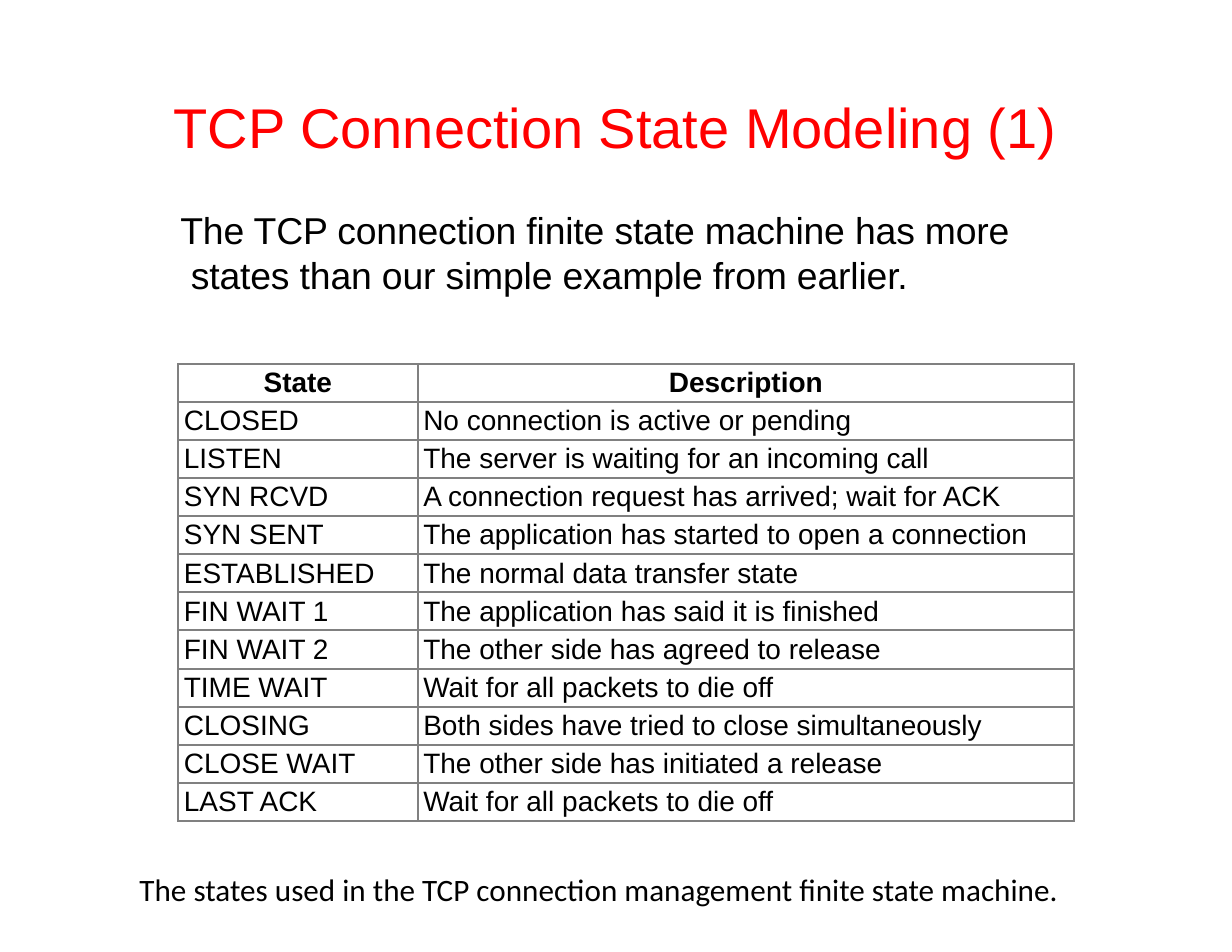
from lxml import etree
from pptx import Presentation
from pptx.dml.color import RGBColor
from pptx.enum import text
from pptx.oxml import ns
from pptx.util import Cm, Pt

RED = RGBColor(0xFF, 0x00, 0x00)
BLACK = RGBColor(0x00, 0x00, 0x00)
BORDER = RGBColor(0x80, 0x80, 0x80)

STATES = [
    ("State", "Description"),
    ("CLOSED", "No connection is active or pending"),
    ("LISTEN", "The server is waiting for an incoming call"),
    ("SYN RCVD", "A connection request has arrived; wait for ACK"),
    ("SYN SENT", "The application has started to open a connection"),
    ("ESTABLISHED", "The normal data transfer state"),
    ("FIN WAIT 1", "The application has said it is finished"),
    ("FIN WAIT 2", "The other side has agreed to release"),
    ("TIME WAIT", "Wait for all packets to die off"),
    ("CLOSING", "Both sides have tried to close simultaneously"),
    ("CLOSE WAIT", "The other side has initiated a release"),
    ("LAST ACK", "Wait for all packets to die off"),
]


def add_text(page, words, left, top, width, height, size, color, name="Arial"):
    box = page.shapes.add_textbox(Cm(left), Cm(top), Cm(width), Cm(height))
    frame = box.text_frame
    frame.word_wrap = True
    frame.text = words
    font = frame.paragraphs[0].runs[0].font
    font.name, font.size, font.color.rgb = name, Pt(size), color
    return frame


def add_borders(cell):
    """Draw all four edges; the lines must come before the fill in the XML."""
    properties = cell._tc.get_or_add_tcPr()
    for index, side in enumerate(("a:lnL", "a:lnR", "a:lnT", "a:lnB")):
        line = etree.Element(ns.qn(side), w=str(Pt(1.5)))
        fill = etree.SubElement(line, ns.qn("a:solidFill"))
        etree.SubElement(fill, ns.qn("a:srgbClr"), val=str(BORDER))
        properties.insert(index, line)


deck = Presentation()
deck.slide_width, deck.slide_height = Cm(27.94), Cm(21.59)
page = deck.slides.add_slide(deck.slide_layouts[6])

title = add_text(page, "TCP Connection State Modeling (1)",
                 3.94, 2.06, 20.12, 1.6, 36, RED)
intro = add_text(page, "The TCP connection finite state machine has more "
                 "states than our simple example from earlier.",
                 4.06, 4.65, 19.08, 2.11, 24, BLACK)
for frame in (title, intro):
    frame.margin_left = frame.margin_right = frame.margin_bottom = 0
    frame.margin_top = Cm(0.05)

# The second line of the introduction hangs slightly to the right.
intro_para = intro.paragraphs[0]
intro_format = intro_para._p.get_or_add_pPr()
intro_format.set("marL", str(Cm(0.27)))
intro_format.set("indent", str(Cm(-0.24)))
intro_para.runs[0].font._element.set("spc", "-10")

table = page.shapes.add_table(len(STATES), 2, Cm(4.04), Cm(8.25),
                              Cm(20.32), Cm(10.37)).table
table.first_row = table.horz_banding = False
table.columns[0].width, table.columns[1].width = Cm(5.43), Cm(14.89)
for row, entries in enumerate(STATES):
    for column, words in enumerate(entries):
        cell = table.cell(row, column)
        cell.text = words
        cell.fill.background()
        cell.margin_left = cell.margin_right = Cm(0.13)
        cell.margin_top = cell.margin_bottom = Cm(0.05)
        cell.vertical_anchor = text.MSO_ANCHOR.MIDDLE
        add_borders(cell)
        para = cell.text_frame.paragraphs[0]
        if row == 0:
            para.alignment = text.PP_ALIGN.CENTER
        font = para.runs[0].font
        font.name, font.size, font.color.rgb = "Arial", Pt(18), BLACK
        font.bold = row == 0

caption = add_text(page, "The states used in the TCP connection management "
                   "finite state machine.",
                   1.73, 19.61, 23.7, 1.12, 20, BLACK, "Calibri")
caption.paragraphs[0].alignment = text.PP_ALIGN.CENTER

deck.save("out.pptx")
